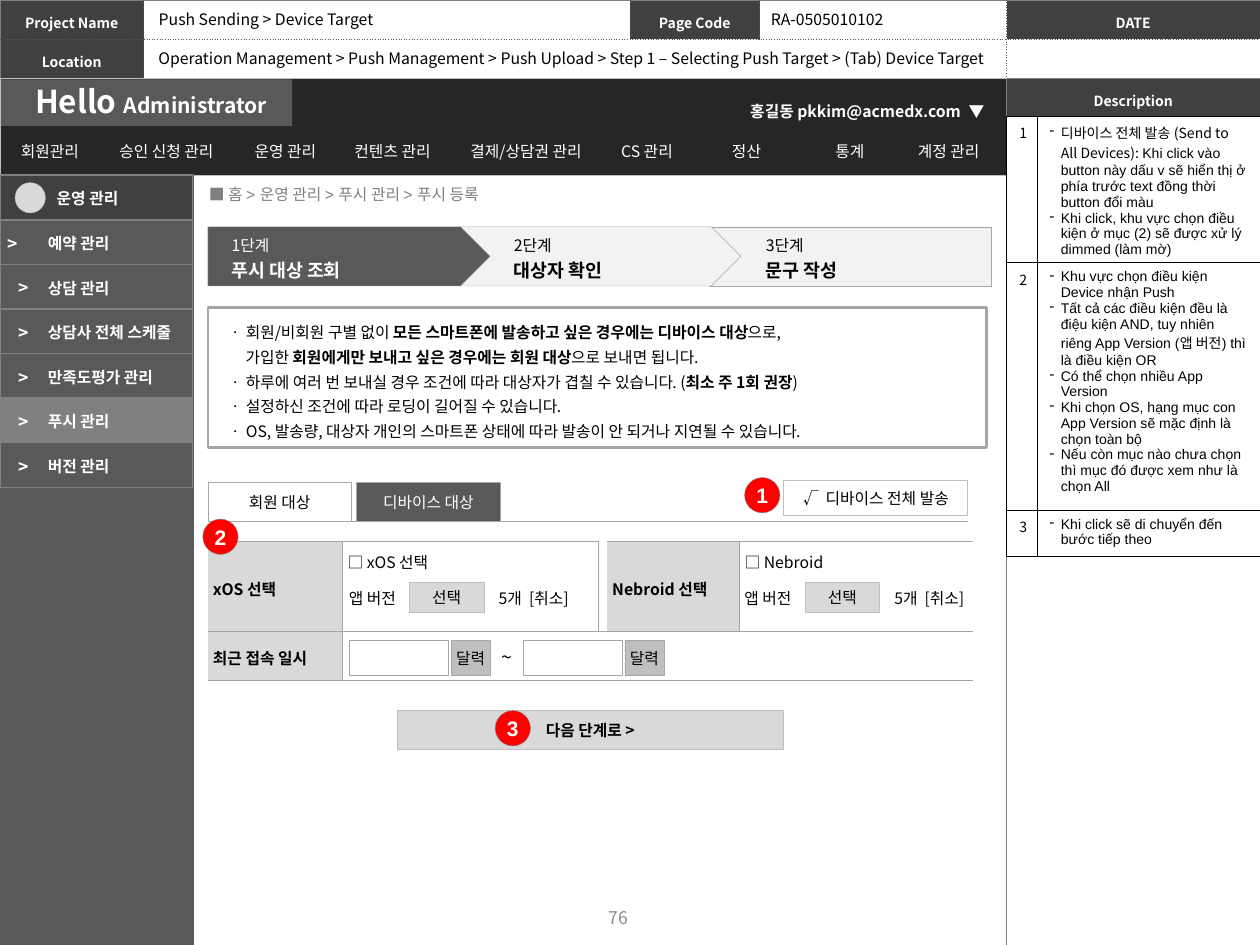
from lxml import etree
from pptx import Presentation
from pptx.dml.color import RGBColor
from pptx.enum.shapes import MSO_CONNECTOR, MSO_SHAPE
from pptx.enum.text import MSO_ANCHOR, MSO_AUTO_SIZE, PP_ALIGN
from pptx.oxml.ns import qn
from pptx.util import Inches, Pt

RECT, OVAL, PLATE = MSO_SHAPE.RECTANGLE, MSO_SHAPE.OVAL, MSO_SHAPE.PENTAGON
LEFT, MID = PP_ALIGN.LEFT, PP_ALIGN.CENTER
TOP, CORE = MSO_ANCHOR.TOP, MSO_ANCHOR.MIDDLE
NOTO, ARIAL = "Noto Sans CJK KR", "Arial"
WHITE, BLACK, DARK, SLATE = "FFFFFF", "000000", "404040", "595959"
GREY, RULE, PALE = "808080", "A6A6A6", "D9D9D9"
PLAIN = "{2D5ABB26-0587-4C30-8999-92F81FD0307C}"
THIN = (0.01, 0.01, 0.01, 0)


def color(code):
    return RGBColor.from_string(code)


def part(box, dx, dy, w, h):
    return box[0] + dx, box[1] + dy, w, h


def spot(box):
    return [Inches(v) for v in box]


def write(frame, text, size=9, font=NOTO, hue=BLACK, bold=False, align=LEFT,
          space=None, bullet=False):
    for n, line in enumerate(text if isinstance(text, list) else [text]):
        para = frame.paragraphs[0] if n == 0 else frame.add_paragraph()
        para.alignment = align
        if space:
            para.line_spacing = space
        if bullet:
            props = para._p.get_or_add_pPr()
            props.set("marL", str(Inches(0.09)))
            props.set("indent", str(-Inches(0.09)))
            etree.SubElement(props, qn("a:buChar")).set("char", "-")
        for item in line if isinstance(line, list) else [line]:
            words, own = item if isinstance(item, tuple) else (item, {})
            run = para.add_run()
            run.text = words
            run.font.size = Pt(own.get("size", size))
            run.font.name = own.get("font", font)
            run.font.bold = own.get("bold", bold)
            run.font.color.rgb = color(own.get("hue", hue))
            east = etree.SubElement(run._r.get_or_add_rPr(), qn("a:ea"))
            east.set("typeface", NOTO)


def label(slide, box, text, anchor=TOP, wrap=True, **style):
    frame = slide.shapes.add_textbox(*spot(box)).text_frame
    frame.word_wrap = wrap
    frame.vertical_anchor = anchor
    write(frame, text, **style)
    return frame


def shape(slide, box, fill, line=None, kind=RECT, text=None, pt=0.25, **style):
    item = slide.shapes.add_shape(kind, *spot(box))
    item.shadow.inherit = False
    item.fill.solid()
    item.fill.fore_color.rgb = color(fill)
    if line:
        item.line.color.rgb = color(line)
        item.line.width = Pt(pt)
    else:
        item.line.fill.background()
    if text:
        frame = item.text_frame
        frame.word_wrap = False
        frame.vertical_anchor = CORE
        write(frame, text, align=MID, **style)
    return item


def grid(slide, box, cols, rows):
    table = slide.shapes.add_table(len(rows), len(cols), *spot(box)).table
    table.first_row = table.horz_banding = False
    table._tbl.tblPr.find(qn("a:tableStyleId")).text = PLAIN
    for col, wide in zip(table.columns, cols):
        col.width = Inches(wide)
    for row, high in zip(table.rows, rows):
        row.height = Inches(high)
    return table


def cell(table, row, col, text=None, fill=None, edges="", ink=GREY, pt=0.5,
         dots="", pad=(0.1, 0.05, 0.1, 0.05), anchor=CORE, **style):
    item = table.cell(row, col)
    item.margin_left, item.margin_top, item.margin_right, item.margin_bottom = spot(pad)
    item.vertical_anchor = anchor
    props = item._tc.get_or_add_tcPr()
    for side in "LRTB":
        if side in edges + dots:
            line = etree.SubElement(props, qn("a:ln" + side), w=str(Pt(pt)))
            paint = etree.SubElement(line, qn("a:solidFill"))
            hue = SLATE if side in dots else ink
            etree.SubElement(paint, qn("a:srgbClr"), val=hue)
            dash = "sysDot" if side in dots else "solid"
            etree.SubElement(line, qn("a:prstDash"), val=dash)
    if fill:
        item.fill.solid()
        item.fill.fore_color.rgb = color(fill)
    else:
        item.fill.background()
    if text:
        write(item.text_frame, text, **style)
    else:
        item.text_frame.paragraphs[0]._p.get_or_add_endParaRPr().set("sz", "800")


def header(slide, box):
    table = grid(slide, box, [1.14, 3.86, 1.03, 1.96, 2.01], [0.31, 0.31])
    names = [["Project Name", None, "Page Code", None, "DATE"],
             ["Location", None, None, None, None]]
    table.cell(1, 1).merge(table.cell(1, 3))
    for r, line in enumerate(names):
        for c, name in enumerate(line):
            solid = "TB"[r] + {0: "L", 4: "R"}.get(c, "")
            dots = "".join(s for s in "LRTB" if s not in solid)
            cell(table, r, c, name, DARK if name else None, solid, dots=dots,
                 pad=(0.04,) * 4, size=8, hue=WHITE, bold=True, align=MID, space=1.3)
    title = slide.shapes.title
    title.left, title.top, title.width, title.height = spot(part(box, 1.16, 0.03, 1.95, 0.25))
    frame = title.text_frame
    frame.auto_size = MSO_AUTO_SIZE.NONE
    frame.word_wrap = True
    frame.vertical_anchor = TOP
    write(frame, "Push Sending > Device Target")
    label(slide, part(box, 6.02, 0.03, 1.12, 0.25), "RA-0505010102")
    label(slide, part(box, 1.16, 0.34, 6.97, 0.25),
          "Operation Management > Push Management > Push Upload > "
          "Step 1 – Selecting Push Target > (Tab) Device Target")


def banner(slide, box):
    shape(slide, box, "262626", "BFBFBF")
    shape(slide, part(box, 0.01, 0.01, 2.31, 0.37), SLATE)
    label(slide, part(box, 0.18, -0.02, 2.2, 0.4),
          [["Hello ", ("Administrator", {"size": 12})]], size=18, hue=WHITE, bold=True)
    names = ["회원관리", "승인 신청 관리", "운영 관리", "컨텐츠 관리", "결제/상담권 관리",
             "CS 관리", "정산", "통계", "계정 관리"]
    cols = [0.75, 1.1, 0.79, 0.91, 1.21, 0.71, 0.87, 0.77, 0.8]
    menu = grid(slide, part(box, 0.02, 0.42, 7.9, 0.31), cols, [0.31])
    for c, name in enumerate(names):
        cell(menu, 0, c, name, pad=(0.05,) * 4, hue=WHITE, align=MID)
    label(slide, part(box, 5.82, 0.11, 1.94, 0.26), "홍길동 pkkim@acmedx.com",
          wrap=False, hue=WHITE, bold=True, align=MID, space=1.2)
    label(slide, part(box, 7.59, 0.11, 0.33, 0.26), "▼", hue=WHITE, bold=True, space=1.2)


def sidebar(slide, box):
    shape(slide, box, SLATE)
    names = ["운영 관리", "예약 관리", "상담 관리", "상담사 전체 스케줄", "만족도평가 관리",
             "푸시 관리", "버전 관리"]
    table = grid(slide, part(box, 0, 0.01, 1.53, 2.48), [0.37, 1.16], [2.48 / 7] * 7)
    for r, name in enumerate(names):
        fill = {0: DARK, 5: GREY}.get(r, SLATE)
        look = dict(fill=fill, pt=1, hue=WHITE, bold=True)
        mark = (0.01, 0.01, 0.18 if r == 1 else 0.01, 0)
        cell(table, r, 0, ">" if r else None, edges="LTB", pad=mark, size=10,
             align=MID, **look)
        inset = THIN if r else (0.08, 0.01, 0.01, 0)
        cell(table, r, 1, name, edges="RTB", pad=inset, **look)
    shape(slide, part(box, 0.12, 0.07, 0.24, 0.24), PALE, "BFBFBF", OVAL)


def steps(slide, box):
    names = ["푸시 대상 조회", "대상자 확인", "문구 작성"]
    for n in (2, 1, 0):
        plate = shape(slide, part(box, n * 1.99, 0, 2.24, 0.47),
                      "F2F2F2" if n else SLATE, RULE, PLATE)
        if n == 2:
            plate.adjustments[0] = 0
    for n, name in enumerate(names):
        label(slide, part(box, 0.09 + n * 2.12 + (n == 1) * 0.12, -0.01, 1.3, 0.49),
              [f"{n + 1}단계", [(name, {"size": 10.5, "bold": True})]],
              hue=BLACK if n else WHITE, space=1.2)


def notice(slide, box):
    shape(slide, box, WHITE, RULE, pt=1.5)
    strong = {"bold": True}
    lines = [["ㆍ 회원/비회원 구별 없이 ",
              ("모든 스마트폰에 발송하고 싶은 경우에는 디바이스 대상", strong), "으로,"],
             ["가입한 ", ("회원에게만 보내고 싶은 경우에는 회원 대상", strong), "으로 보내면 됩니다."],
             ["ㆍ 하루에 여러 번 보내실 경우 조건에 따라 대상자가 겹칠 수 있습니다. (",
              ("최소 주 1회 권장", strong), ")"],
             "ㆍ 설정하신 조건에 따라 로딩이 길어질 수 있습니다.",
             "ㆍ OS, 발송량, 대상자 개인의 스마트폰 상태에 따라 발송이 안 되거나 지연될 수 있습니다."]
    frame = label(slide, part(box, 0.06, 0.03, 5.31, 1.09), lines, space=1.3)
    frame.paragraphs[1]._p.get_or_add_pPr().set("marL", str(Inches(0.14)))


def tabs(slide, box):
    shape(slide, part(box, 0, 0, 1.14, 0.31), WHITE, RULE, text="회원 대상")
    shape(slide, part(box, 1.18, 0, 1.14, 0.31), SLATE, RULE, text="디바이스 대상", hue=WHITE)
    x, y, w, h = spot(box)
    line = slide.shapes.add_connector(MSO_CONNECTOR.STRAIGHT, x, y + h, x + w, y + h)
    line.line.color.rgb = color(RULE)
    line.line.width = Pt(0.75)
    etree.SubElement(line._element.spPr, qn("a:effectLst"))
    shape(slide, part(box, 4.57, -0.02, 1.46, 0.28), WHITE, "BFBFBF", text="√  디바이스 전체 발송")


def form(slide, box):
    table = grid(slide, box, [1.07, 2.03, 0.07, 1.05, 1.85], [0.71, 0.39])
    table.cell(1, 1).merge(table.cell(1, 4))
    look = dict(ink="A5A5A5", pad=(0.04, 0.03, 0.01, 0))
    for r, c, name in ((0, 0, "xOS 선택"), (0, 3, "Nebroid 선택"), (1, 0, "최근 접속 일시")):
        cell(table, r, c, name, PALE, "RTB", bold=True, **look)
    for c, name in ((1, "□ xOS 선택"), (4, "□ Nebroid")):
        cell(table, 0, c, name, WHITE, "LTB", anchor=TOP, space=1.2, **look)
    cell(table, 0, 2, fill=WHITE, pad=THIN)
    cell(table, 1, 1, fill=WHITE, edges="LTB", **look)
    for dx in (1.02, 4.16):
        label(slide, part(box, dx, 0.32, 0.62, 0.25), "앱 버전")
        shape(slide, part(box, dx + 0.58, 0.32, 0.59, 0.24), PALE, "BFBFBF", text="선택")
        label(slide, part(box, dx + 1.19, 0.32, 0.82, 0.25), "5개  [취소]")
    for dx in (1.12, 2.5):
        shape(slide, part(box, dx, 0.78, 0.79, 0.28), WHITE, RULE)
        shape(slide, part(box, dx + 0.81, 0.78, 0.31, 0.28), "BFBFBF", RULE, text="달력")
    label(slide, part(box, 2.23, 0.77, 0.31, 0.29), "~", size=11)


def badge(slide, box, text):
    shape(slide, box, "FF0000", GREY, OVAL, text, size=12, font=ARIAL, hue=WHITE, bold=True)


def panel(slide, box):
    back = grid(slide, box, [2.01], [0.31, 6.57])
    cell(back, 0, 0, "Description", DARK, "LRT", dots="B", pad=(0.08, 0.04, 0.08, 0.04),
         size=8, hue=WHITE, bold=True, align=MID, space=1.3)
    cell(back, 1, 0, edges="LRB", dots="T")
    notes = [[[("디바이스 전체 발송 (Send to All Devices): ", {"font": NOTO}),
               "Khi click vào button này dấu v sẽ hiển thị ở phía trước text đồng thời button đổi màu"],
              "Khi click, khu vực chọn điều kiện ở mục (2) sẽ được xử lý dimmed (làm mờ)"],
             ["Khu vực chọn điều kiện Device nhận Push",
              "Tất cả các điều kiện đều là điệu kiện AND, tuy nhiên riêng App Version (앱 버전) "
              "thì là điều kiện OR",
              "Có thể chọn nhiều App Version",
              "Khi chọn OS, hạng mục con App Version sẽ mặc định là chọn toàn bộ",
              "Nếu còn mục nào chưa chọn thì mục đó được xem như là chọn All"],
             ["Khi click sẽ di chuyển đến bước tiếp theo"]]
    table = grid(slide, part(box, 0, 0.3, 2, 3.49), [0.23, 1.77], [1.16, 1.96, 0.37])
    look = dict(fill=WHITE, edges="LRTB", ink=BLACK, anchor=TOP, size=8)
    for r, lines in enumerate(notes):
        cell(table, r, 0, str(r + 1), **look)
        cell(table, r, 1, lines, font=ARIAL, bullet=True, **look)


def main():
    deck = Presentation()
    deck.slide_width, deck.slide_height = Inches(10), Inches(7.5)
    slide = deck.slides.add_slide(deck.slide_layouts[5])
    header(slide, (0, 0, 10, 0.62))
    banner(slide, (0, 0.62, 7.99, 0.77))
    label(slide, (1.56, 1.37, 6.12, 0.34), "■ 홈 > 운영 관리 > 푸시 관리 > 푸시 등록",
          anchor=CORE, font=ARIAL, hue=GREY)
    tabs(slide, (1.65, 3.83, 6.03, 0.31))
    steps(slide, (1.65, 1.8, 6.22, 0.47))
    form(slide, (1.65, 4.3, 6.06, 1.1))
    shape(slide, (3.15, 5.64, 3.07, 0.31), PALE, "BFBFBF", text="다음 단계로 >", bold=True)
    for n, (x, y) in enumerate([(5.91, 3.79), (1.61, 4.12), (3.93, 5.64)]):
        badge(slide, (x, y, 0.28, 0.28), str(n + 1))
    notice(slide, (1.65, 2.44, 6.18, 1.11))
    sidebar(slide, (0, 1.38, 1.54, 6.12))
    panel(slide, (7.99, 0.62, 2.01, 6.88))
    label(slide, (3.74, 7.08, 2.33, 0.4), "76", anchor=CORE, size=10, hue="8C8C8C", align=MID)
    deck.save("out.pptx")


if __name__ == "__main__":
    main()
